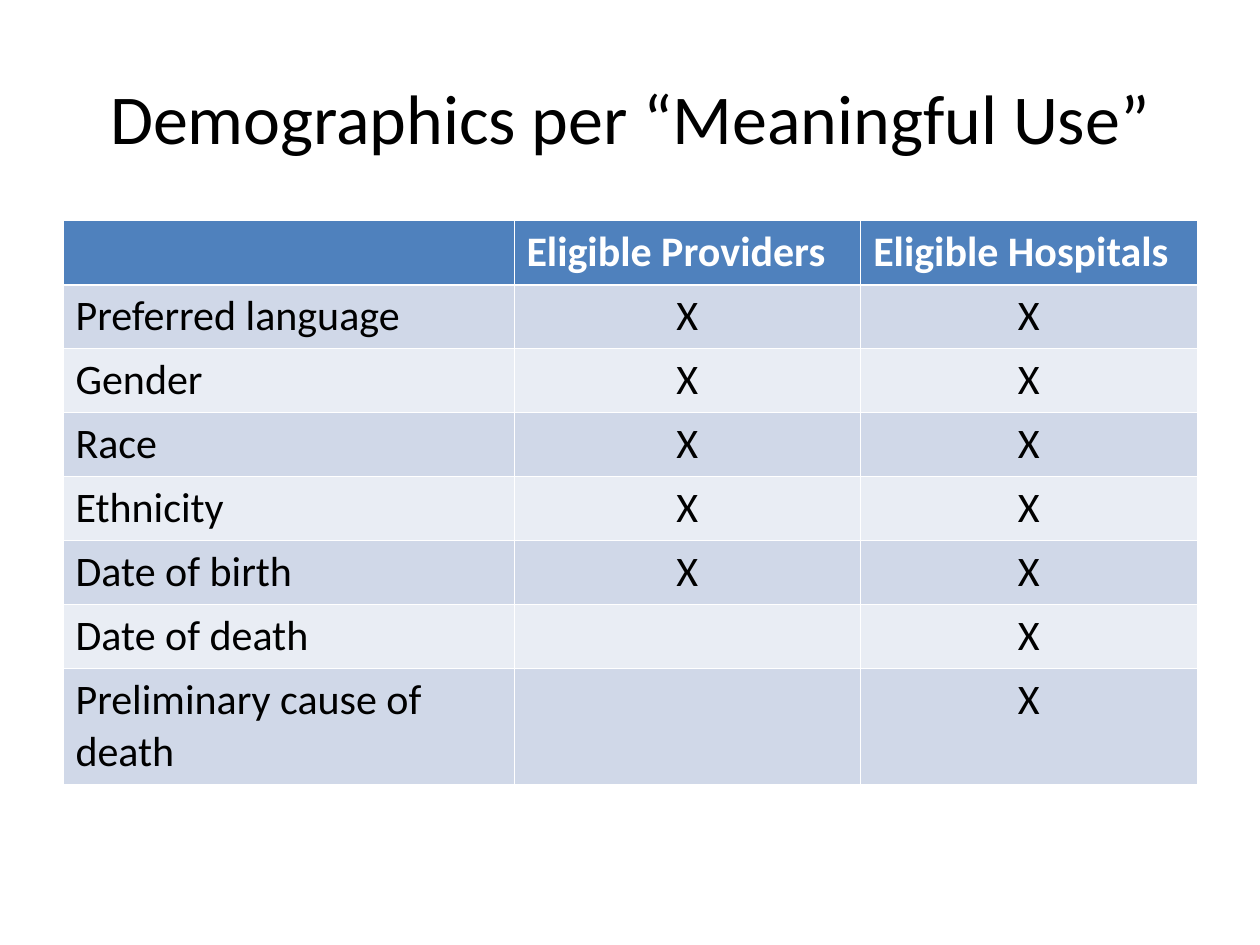
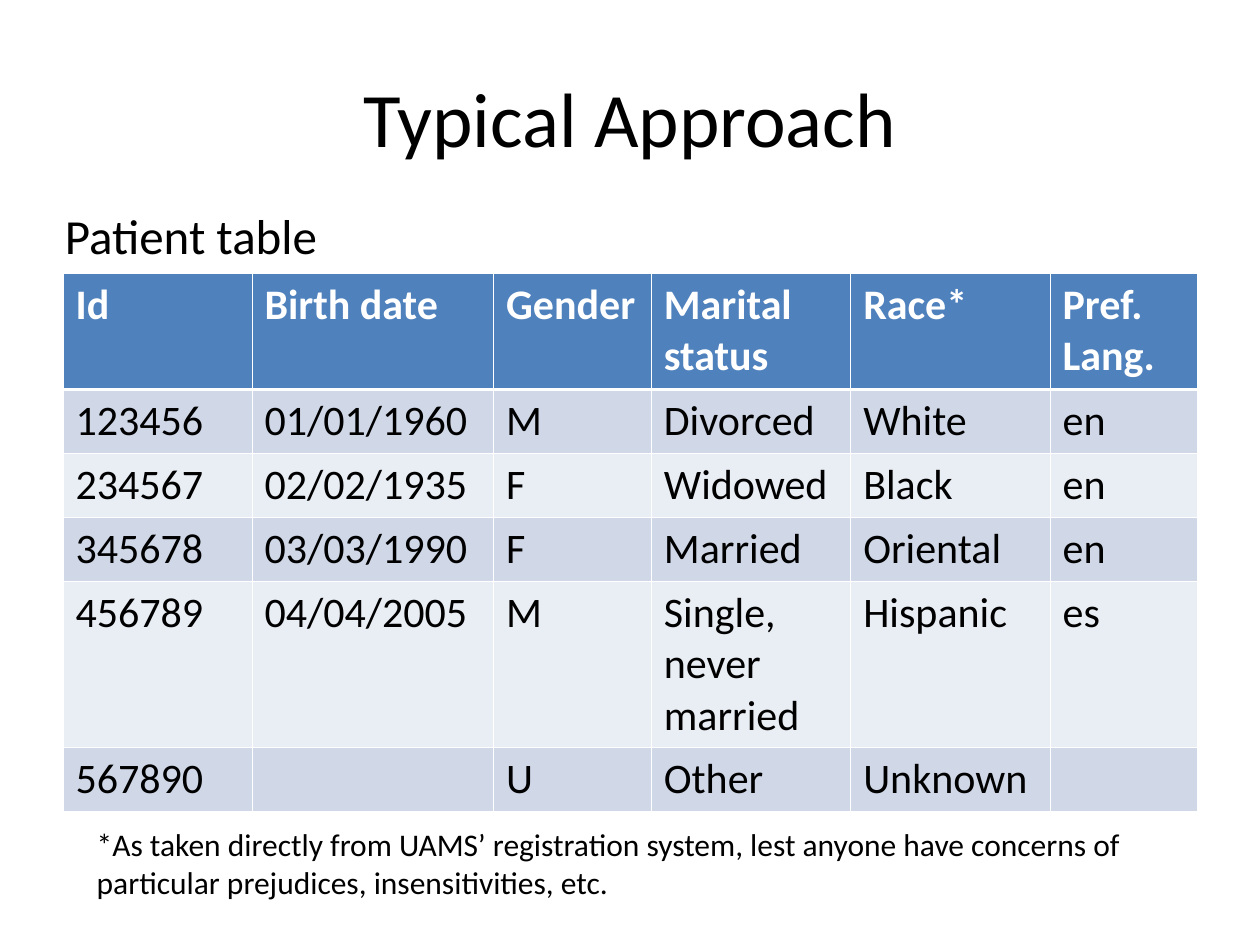
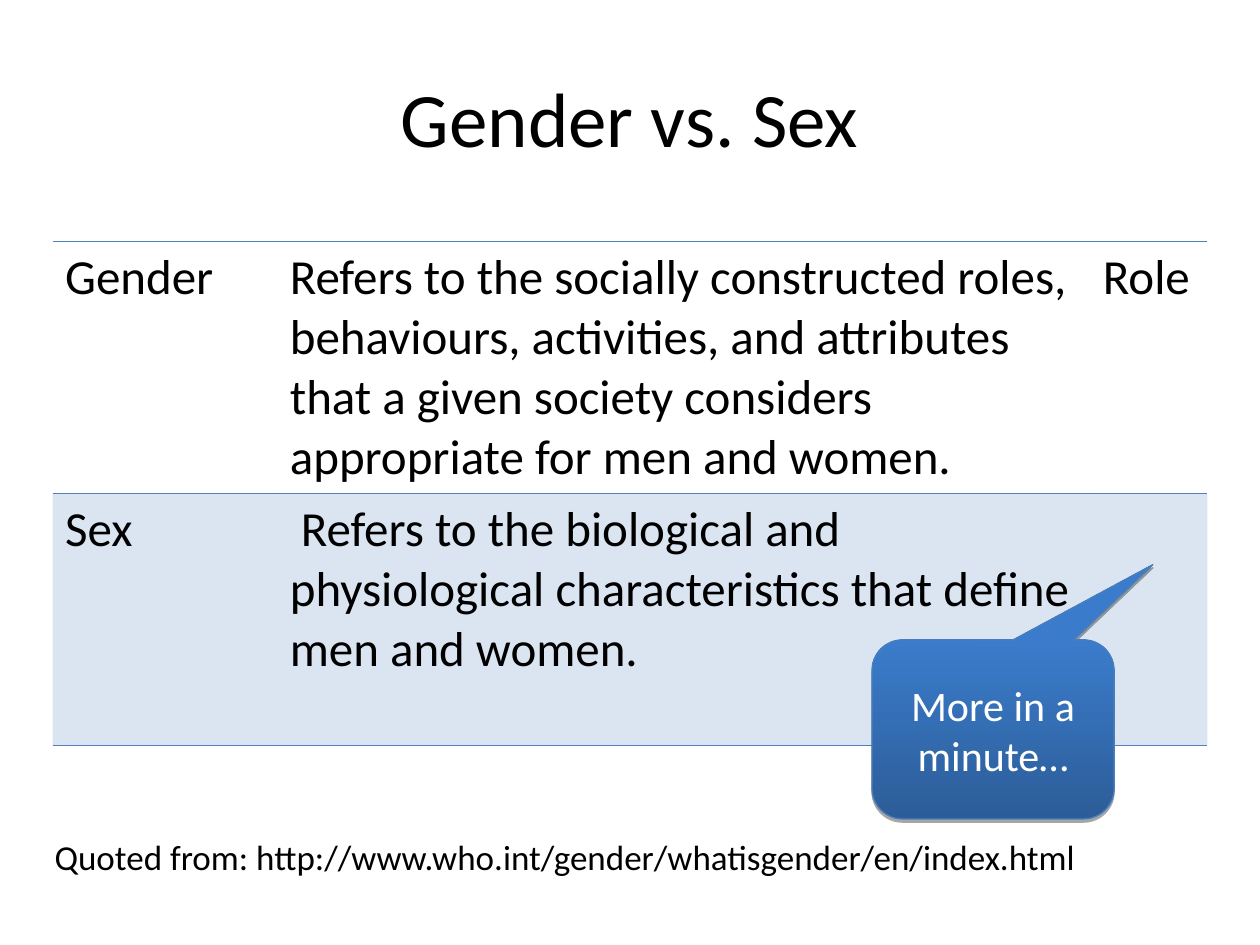
import pptx
import pptx.dml.color
import pptx.enum.shapes
import pptx.enum.text
import pptx.oxml
import pptx.oxml.ns
import pptx.util

Cm = pptx.util.Cm
Pt = pptx.util.Pt
ALIGN = pptx.enum.text.PP_ALIGN
MIDDLE = pptx.enum.text.MSO_ANCHOR.MIDDLE
rgb = pptx.dml.color.RGBColor.from_string

FONT = "Calibri"
BLACK, WHITE, BLUE = "000000", "FFFFFF", "4F81BD"
STRIPES = ["D0D8E8", "E9EDF4"]
THIN, THICK = 0.45, 1.47
LINE_HEIGHT = 1.29  # one row of 24 pt text


def write(frame, text, size, color=BLACK, bold=False, align=ALIGN.LEFT):
    """Fill a text frame with one formatted, wrapped paragraph."""
    frame.word_wrap = True
    frame.text = text
    paragraph = frame.paragraphs[0]
    paragraph.alignment = align
    font = paragraph.font
    if paragraph.runs:
        font = paragraph.runs[0].font
    font.name, font.size, font.bold = FONT, Pt(size), bold
    font.color.rgb = rgb(color)


def set_borders(cell, borders):
    """Draw the sides given as {side: (colour, points)} and clear the others."""
    properties = cell._tc.get_or_add_tcPr()
    for place, side in enumerate("LRTB"):
        color, points = borders.get(side, (None, 0))
        paint = f'<a:solidFill><a:srgbClr val="{color}"/></a:solidFill>' if color else "<a:noFill/>"
        properties.insert(place, pptx.oxml.parse_xml(
            f'<a:ln{side} {pptx.oxml.ns.nsdecls("a")} w="{int(Pt(points))}">{paint}</a:ln{side}>'))


demographics = [
    ["", "Eligible Providers", "Eligible Hospitals"],
    ["Preferred language", "X", "X"],
    ["Gender", "X", "X"],
    ["Race", "X", "X"],
    ["Ethnicity", "X", "X"],
    ["Date of birth", "X", "X"],
    ["Date of death", "", "X"],
    ["Preliminary cause of death", "", "X"],
]
patients = [
    ["Id", "Birth date", "Gender", "Marital status", "Race*", "Pref. Lang."],
    ["123456", "01/01/1960", "M", "Divorced", "White", "en"],
    ["234567", "02/02/1935", "F", "Widowed", "Black", "en"],
    ["345678", "03/03/1990", "F", "Married", "Oriental", "en"],
    ["456789", "04/04/2005", "M", "Single, never married", "Hispanic", "es"],
    ["567890", "", "U", "Other", "Unknown", ""],
]
definitions = [
    ["Gender", "Refers to the socially constructed roles, behaviours, activities, and attributes "
     "that a given society considers appropriate for men and women.", "Role"],
    ["Sex", " Refers to the biological and physiological characteristics that define men and women.", ""],
]

# title, title size, table left and top, column widths, row heights, rows,
# captions as (text, size, left, top, width, height)
pages = [
    ("Demographics per “Meaningful Use”", 40, 1.27, 4.45, [9.09, 6.99, 6.78],
     [LINE_HEIGHT] * 7 + [2.34], demographics, []),
    ("Typical Approach", 44, 1.27, 5.51, [3.81, 4.87, 3.18, 4.02, 4.02, 2.96],
     [2.34] + [LINE_HEIGHT] * 3 + [3.35, LINE_HEIGHT], patients,
     [("Patient table", 28, 1.06, 4.02, 10.8, 1.45),
      ("*As taken directly from UAMS’ registration system, lest anyone have concerns of "
       "particular prejudices, insensitivities, etc.", 18, 1.7, 16.51, 22.01, 1.78)]),
    ("Gender vs. Sex", 44, 1.06, 4.87, [4.53, 16.39, 2.36],
     [5.08, 5.08], definitions,
     [("Quoted from: http://www.who.int/gender/whatisgender/en/index.html",
       20, 0.85, 16.72, 22.44, 1.11)]),
]

deck = pptx.Presentation()
deck.slide_width, deck.slide_height = Cm(25.4), Cm(19.05)

for title, title_size, left, top, widths, heights, rows, captions in pages:
    slide = deck.slides.add_slide(deck.slide_layouts[6])
    heading = slide.shapes.add_textbox(Cm(1.27), Cm(0.76), Cm(22.86), Cm(3.18)).text_frame
    heading.vertical_anchor = MIDDLE
    write(heading, title, title_size, align=ALIGN.CENTER)

    grid = slide.shapes.add_table(len(rows), len(widths), Cm(left), Cm(top),
                                  Cm(sum(widths)), Cm(sum(heights))).table
    has_header = rows is not definitions
    grid.first_row, grid.horz_banding = has_header, False
    for column, width in zip(grid.columns, widths):
        column.width = Cm(width)
    for r, (height, entries) in enumerate(zip(heights, rows)):
        grid.rows[r].height = Cm(height)
        for c, entry in enumerate(entries):
            cell = grid.cell(r, c)
            if has_header:
                is_header = r == 0
                write(cell.text_frame, entry, 24, WHITE if is_header else BLACK, is_header,
                      ALIGN.CENTER if entry == "X" else ALIGN.LEFT)
                cell.fill.solid()
                cell.fill.fore_color.rgb = rgb(BLUE if is_header else STRIPES[(r - 1) % 2])
                set_borders(cell, {"L": (WHITE, THIN), "R": (WHITE, THIN),
                                   "T": (WHITE, THICK if r == 1 else THIN),
                                   "B": (WHITE, THICK if is_header else THIN)})
                continue
            write(cell.text_frame, entry, 28)
            if r == 0:
                cell.fill.background()
            else:
                cell.fill.solid()
                cell.fill.fore_color.rgb = rgb(BLUE)
                tint = cell._tc.tcPr.find(".//" + pptx.oxml.ns.qn("a:srgbClr"))
                tint.append(pptx.oxml.parse_xml(
                    f'<a:alpha {pptx.oxml.ns.nsdecls("a")} val="20000"/>'))
            set_borders(cell, {"T": (BLUE, THIN), "B": (BLUE, THIN)})

    for text, size, x, y, width, height in captions:
        caption = slide.shapes.add_textbox(Cm(x), Cm(y), Cm(width), Cm(height))
        write(caption.text_frame, text, size)

# Callout on the last slide, pointing at the empty cell
callout = slide.shapes.add_shape(pptx.enum.shapes.MSO_SHAPE.ROUNDED_RECTANGULAR_CALLOUT,
                                 Cm(17.58), Cm(12.9), Cm(4.88), Cm(3.61))
for place, value in enumerate([0.66, -0.92, 0.17]):
    callout.adjustments[place] = value
callout.fill.gradient()
callout.fill.gradient_angle = 90
for stop, color, position in zip(callout.fill.gradient_stops, ["2C5D98", "3A7CCB"], [0, 1]):
    stop.color.rgb = rgb(color)
    stop.position = position
callout.line.color.rgb = rgb("4A7EBB")
callout.line.width = Pt(0.75)
callout.shadow.inherit = False
effects = callout._element.spPr.find(pptx.oxml.ns.qn("a:effectLst"))
effects.append(pptx.oxml.parse_xml(
    f'<a:outerShdw {pptx.oxml.ns.nsdecls("a")} dist="{int(Pt(1.8))}" dir="5400000" rotWithShape="0">'
    f'<a:srgbClr val="{BLACK}"><a:alpha val="35000"/></a:srgbClr></a:outerShdw>'))
callout.text_frame.vertical_anchor = MIDDLE
write(callout.text_frame, "More in a minute…", 24, WHITE, align=ALIGN.CENTER)

deck.save("out.pptx")
